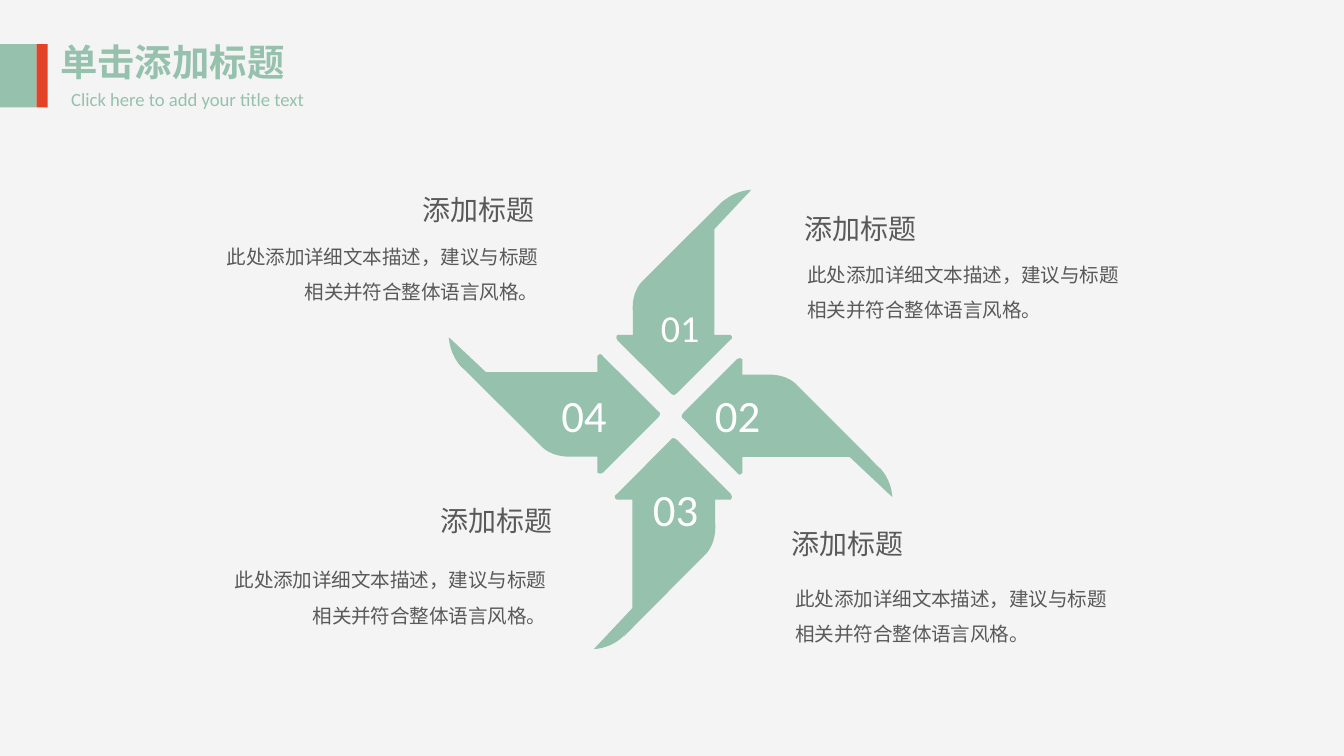
from lxml import etree
from pptx import Presentation
from pptx.dml.color import RGBColor
from pptx.enum.shapes import MSO_SHAPE
from pptx.enum.text import MSO_ANCHOR, PP_ALIGN
from pptx.oxml.ns import qn
from pptx.util import Pt

TOP, MIDDLE, BOTTOM = MSO_ANCHOR.TOP, MSO_ANCHOR.MIDDLE, MSO_ANCHOR.BOTTOM
LEFT, RIGHT = PP_ALIGN.LEFT, PP_ALIGN.RIGHT
RECTANGLE = MSO_SHAPE.RECTANGLE
LATIN, CHINESE = "Calibri", "Noto Sans CJK SC"
COLORS = {
    "background": "F4F4F4",
    "green": "95C1AD",
    "red": "E34326",
    "grey": "595959",
    "white": "FFFFFF",
}

deck = Presentation()
deck.slide_width, deck.slide_height = Pt(720), Pt(405)
page = deck.slides.add_slide(deck.slide_layouts[6])
page.background.fill.solid()
page.background.fill.fore_color.rgb = RGBColor.from_string(COLORS["background"])


def add_text(frame, text, size, color, font=LATIN, align=LEFT, anchor=TOP,
             bold=False, spacing=None, wrap=True):
    box = page.shapes.add_textbox(*[Pt(value) for value in frame])
    box.text_frame.word_wrap = wrap
    box.text_frame.vertical_anchor = anchor
    para = box.text_frame.paragraphs[0]
    para.alignment = align
    para.line_spacing = spacing
    span = para.add_run()
    span.text = text
    span.font.size = Pt(size)
    span.font.bold = bold
    span.font.name = font
    span.font.color.rgb = RGBColor.from_string(COLORS[color])
    etree.SubElement(span.font._element, qn("a:ea"), typeface=CHINESE)


def add_outline(segments, size, frame, turns):
    left, top, width, height = frame
    placed = []
    for segment in segments:
        corners = []
        for x, y in zip(segment[::2], segment[1::2]):
            x, y = x / size[0], y / size[1]
            for _ in range(turns):
                x, y = 1 - y, x
            corners.append((Pt(left + x * width), Pt(top + y * height)))
        placed.append(corners)
    ends = [corners[-1] for corners in placed]
    builder = page.shapes.build_freeform(*ends[0])
    builder.add_line_segments(ends[1:], close=True)
    shape = builder.convert_to_shape()
    for line, corners in zip(list(shape._element.iter(qn("a:lnTo"))), placed[1:]):
        if len(corners) == 3:
            curve = etree.Element(qn("a:cubicBezTo"))
            for x, y in corners:
                etree.SubElement(curve, qn("a:pt"), x=str(x - shape.left), y=str(y - shape.top))
            line.getparent().replace(line, curve)
    shape.shadow.inherit = False
    shape.fill.solid()
    shape.fill.fore_color.rgb = RGBColor.from_string(COLORS["green"])
    shape.line.fill.background()


add_text((25.2, 17.6, 136.8, 31.7), "单击添加标题", 20, "green", bold=True, wrap=False)
add_text((31.1, 43.5, 141.1, 19.4), "Click here to add your title text", 10, "green", wrap=False)

for left, width, color in [(19.5, 6, "red"), (0, 19.5, "green")]:
    bar = page.shapes.add_shape(RECTANGLE, Pt(left), Pt(23.6), Pt(width), Pt(34))
    bar.shadow.inherit = False
    bar.fill.solid()
    bar.fill.fore_color.rgb = RGBColor.from_string(COLORS[color])
    bar.line.fill.background()

arrow_size = (150.5, 89.5)
arrow = [
    (108, 89), (149, 48), (151, 46, 151, 44, 149, 43), (108, 2),
    (107, 0, 105, 0, 104, 2), (104, 14), (22, 14), (22, 14, 20, 14, 16, 14),
    (9, 12, 4, 10, 0, 7), (62, 69), (62, 69, 69, 78, 86, 77), (104, 77),
    (104, 89), (105, 90, 107, 90, 108, 89),
]
tail_size = (32, 30)
tail = [
    (32, 30), (0, 0), (0, 0, 0, 10, 7, 19), (8, 20, 9, 22, 11, 23),
    (15, 26, 20, 29, 27, 30), (28, 30, 30, 30, 32, 30),
]
petals = [
    ("01", 1, (330.3, 107.3, 62.2, 104.4), (380.9, 101.7, 21.6, 23),
     (347, 157.7, 36, 35.3), 20.4),
    ("03", 3, (329, 234.7, 63, 106.6), (318.2, 324.7, 21.6, 23),
     (342.7, 249.8, 44.6, 45.4), 24),
    ("04", 0, (245.2, 189.4, 108.4, 64.2), (240.5, 180.7, 23.6, 22.2),
     (293.6, 199.4, 44.6, 45.4), 24),
    ("02", 2, (365.2, 192, 105.1, 62.6), (455, 244.7, 23, 21.6),
     (375.9, 199.4, 44.6, 45.4), 24),
]
for number, turns, arrow_frame, tail_frame, label_frame, size in petals:
    add_outline(tail, tail_size, tail_frame, turns)
    add_outline(arrow, arrow_size, arrow_frame, turns)
    add_text(label_frame, number, size, "white", anchor=MIDDLE)

captions = [
    (RIGHT, 109.8, 89.3, 111.9, 114.9),
    (RIGHT, 119.5, 255.9, 116.2, 288.3),
    (LEFT, 424.1, 99.4, 425.5, 124.6),
    (LEFT, 416.9, 268.2, 419, 298.1),
]
for align, heading_left, heading_top, detail_left, detail_top in captions:
    add_text((heading_left, heading_top, 183.6, 35.3), "添加标题", 15, "grey",
             CHINESE, align, BOTTOM)
    add_text((detail_left, detail_top, 183.6, 57.6),
             "此处添加详细文本描述，建议与标题相关并符合整体语言风格。", 10.5, "grey",
             CHINESE, align, MIDDLE, spacing=1.5)

deck.save("out.pptx")
